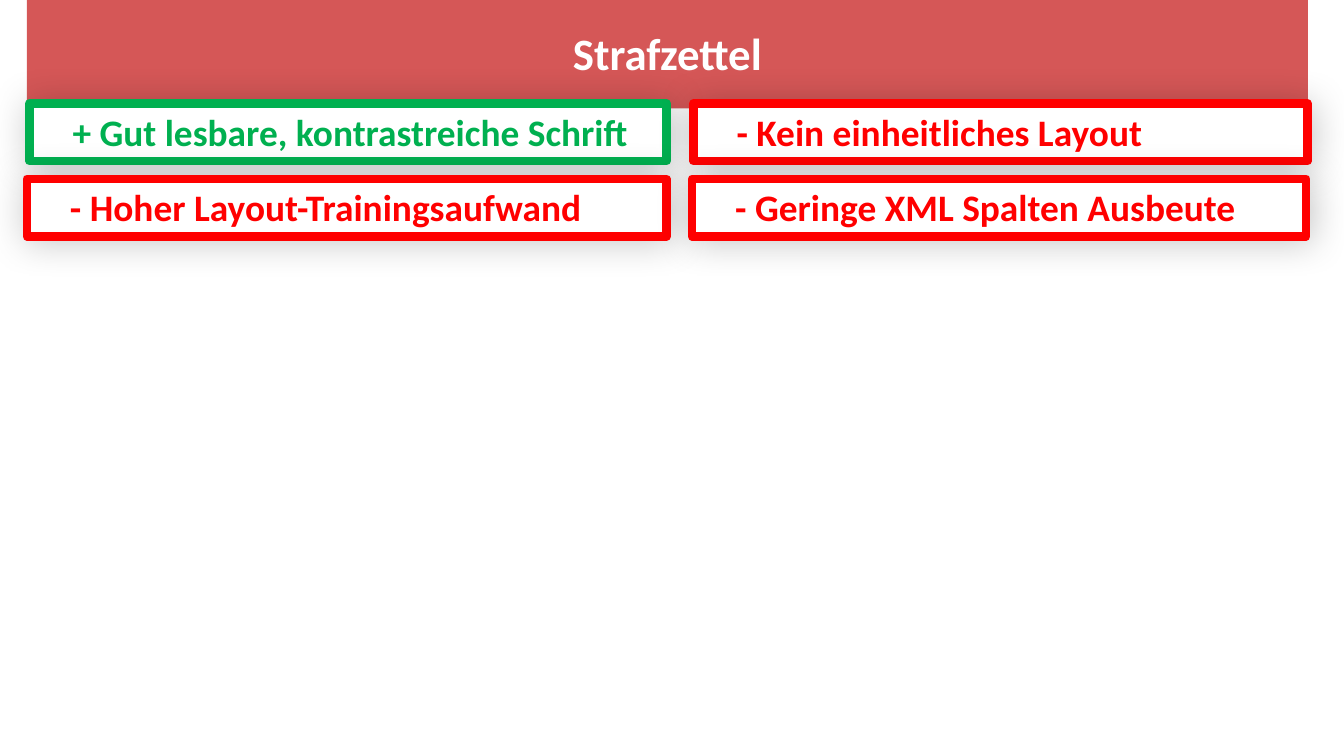
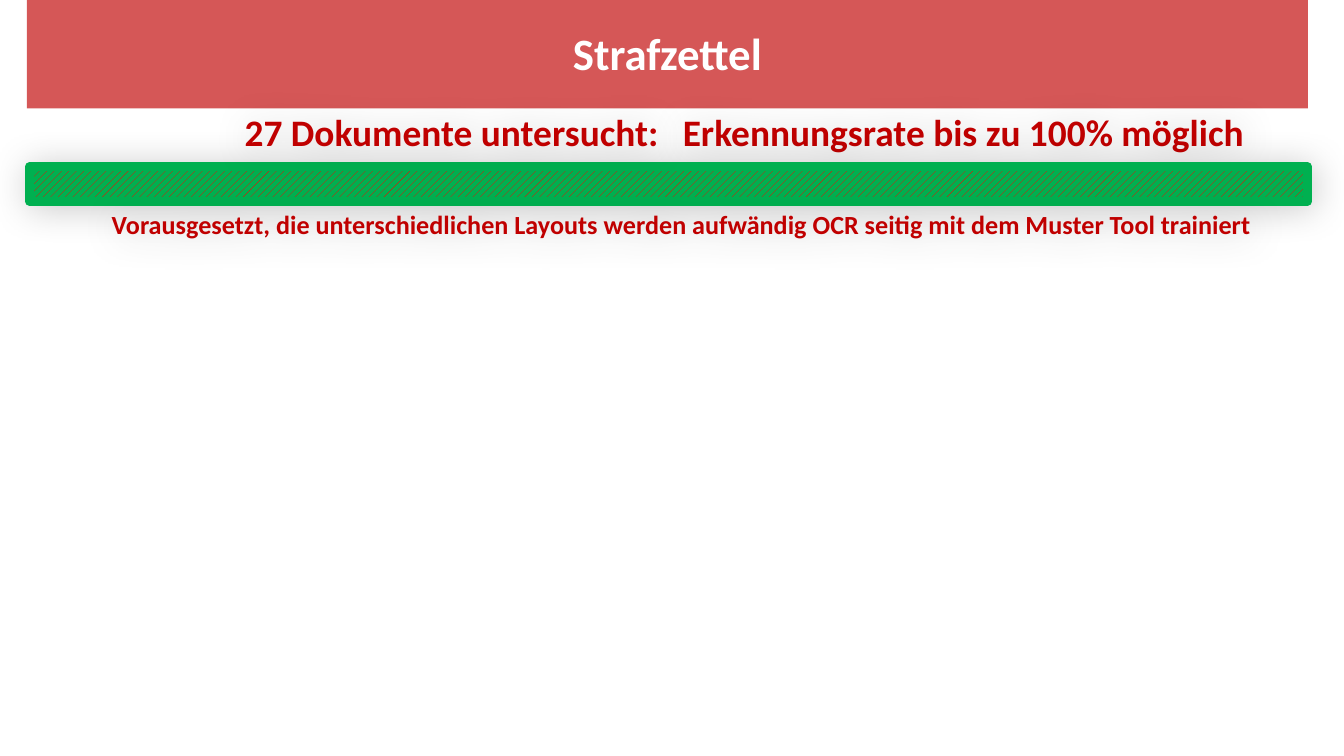
import dataclasses

import pptx
import pptx.dml.color
import pptx.enum.dml
import pptx.enum.shapes
import pptx.enum.text
import pptx.oxml
import pptx.oxml.ns
import pptx.util

Pt = pptx.util.Pt
ALIGN = pptx.enum.text.PP_ALIGN


@dataclasses.dataclass(frozen=True)
class Theme:
    """Colours and type of the deck."""
    font: str = "Calibri"
    white: str = "FFFFFF"
    heading: str = "C00000"
    good: str = "00B050"
    bad: str = "FF0000"
    title_size: float = 24
    point_size: float = 20
    note_size: float = 14
    border: float = 4.5


THEME = Theme()
TITLE = "Strafzettel"
ROW_TOPS = (55.4, 95.8)
ROW_HEIGHT = 31
# Each point: text, colour, row, left, width
POINTS = (
    ("+ Gut lesbare, kontrastreiche Schrift", THEME.good, 0, 15.8, 341.3),
    ("- Kein einheitliches Layout", THEME.bad, 0, 371.5, 329),
    ("- Hoher Layout-Trainingsaufwand", THEME.bad, 1, 14.4, 342.7),
    ("- Geringe XML Spalten Ausbeute", THEME.bad, 1, 370.8, 329),
)


def rgb(code):
    """Turn a hex code into a colour value."""
    return pptx.dml.color.RGBColor.from_string(code)


def assign(target, values):
    """Set every attribute named in a dict of format values."""
    for name, value in values.items():
        setattr(target, name, value)


def place(shape, left, top, width, height):
    """Position a shape, in points."""
    assign(shape, {"left": Pt(left), "top": Pt(top),
                   "width": Pt(width), "height": Pt(height)})


def write(shape, text, size, color, align):
    """Put one bold line of text in a shape."""
    frame = shape.text_frame
    frame.text = text
    assign(frame, {"word_wrap": True,
                   "auto_size": pptx.enum.text.MSO_AUTO_SIZE.SHAPE_TO_FIT_TEXT})
    paragraph = frame.paragraphs[0]
    paragraph.alignment = align
    font = paragraph.runs[0].font
    assign(font, {"name": THEME.font, "size": Pt(size), "bold": True})
    font.color.rgb = rgb(color)


def write_point(shape, text, size, color, align=ALIGN.LEFT):
    """Write a line with the indent and spacing of the points."""
    write(shape, text, size, color, align)
    assign(shape.text_frame, {
        "margin_left": Pt(5.8), "margin_top": Pt(2.9),
        "margin_right": Pt(7.2), "margin_bottom": Pt(3.6),
        "vertical_anchor": pptx.enum.text.MSO_ANCHOR.TOP})
    paragraph = shape.text_frame.paragraphs[0]
    assign(paragraph, {"space_before": Pt(6), "space_after": Pt(6)})
    properties = paragraph._p.get_or_add_pPr()
    properties.set("marL", str(Pt(17.3)))
    properties.set("indent", "0")


def add_shadow(shape):
    """Give a shape the deck's soft shadow."""
    shape.shadow.inherit = False
    effects = shape._element.spPr.find(pptx.oxml.ns.qn("a:effectLst"))
    effects.append(pptx.oxml.parse_xml(
        f'<a:outerShdw {pptx.oxml.ns.nsdecls("a")} blurRad="{Pt(20)}" '
        f'dist="{Pt(1)}" dir="2700000" algn="tl" rotWithShape="0">'
        '<a:srgbClr val="000000"><a:alpha val="21000"/></a:srgbClr>'
        '</a:outerShdw>'))


def add_frame(slide, box, color):
    """Add a white rectangle with a thick round-cornered border."""
    frame = slide.shapes.add_shape(
        pptx.enum.shapes.MSO_SHAPE.RECTANGLE, *map(Pt, box))
    frame.fill.solid()
    frame.fill.fore_color.rgb = rgb(THEME.white)
    frame.line.color.rgb = rgb(color)
    frame.line.width = Pt(THEME.border)
    frame.line._get_or_add_ln().append(pptx.oxml.parse_xml(
        f'<a:round {pptx.oxml.ns.nsdecls("a")}/>'))
    add_shadow(frame)
    return frame


def add_statement(slide, box, text, size, align=ALIGN.LEFT):
    """Add a free line of text with a shadow."""
    statement = slide.shapes.add_textbox(*map(Pt, box))
    write_point(statement, text, size, THEME.heading, align)
    add_shadow(statement)


def add_titled_slide(deck):
    """Add a slide with the shared title band."""
    slide = deck.slides.add_slide(deck.slide_layouts[5])
    title = slide.shapes.title
    place(title, 14.4, 10, 686.2, 36)
    title.fill.solid()
    title.fill.fore_color.rgb = rgb(THEME.heading)
    color = title._element.spPr.find(".//" + pptx.oxml.ns.qn("a:srgbClr"))
    color.append(pptx.oxml.parse_xml(
        f'<a:alpha {pptx.oxml.ns.nsdecls("a")} val="66000"/>'))
    write(title, TITLE, THEME.title_size, THEME.white, ALIGN.CENTER)
    title.text_frame.vertical_anchor = pptx.enum.text.MSO_ANCHOR.MIDDLE
    return slide


def build_assessment(deck):
    """Slide with the strong and weak points."""
    slide = add_titled_slide(deck)
    for text, color, row, left, width in POINTS:
        frame = add_frame(slide, (left, ROW_TOPS[row], width, ROW_HEIGHT), color)
        write_point(frame, text, THEME.point_size, color)


def build_recognition(deck):
    """Slide with the recognition rate bar."""
    slide = add_titled_slide(deck)
    top = ROW_TOPS[0]
    add_statement(slide, (342.7, top, 357.8, ROW_HEIGHT),
                  "Erkennungsrate bis zu 100% möglich", THEME.point_size)
    rate_bar = add_frame(slide, (15.8, 89.3, 684.7, 18.7), THEME.good)
    rate_bar.fill.patterned()
    rate_bar.fill.pattern = pptx.enum.dml.MSO_PATTERN.WIDE_UPWARD_DIAGONAL
    rate_bar.fill.fore_color.rgb = rgb(THEME.bad)
    rate_bar.fill.back_color.rgb = rgb(THEME.good)
    add_statement(slide, (14.4, top, 345.6, ROW_HEIGHT),
                  "27 Dokumente untersucht:", THEME.point_size, ALIGN.RIGHT)
    add_statement(slide, (36.7, 108.7, 646.6, 23.8),
                  "Vorausgesetzt, die unterschiedlichen Layouts werden aufwändig "
                  "OCR seitig mit dem Muster Tool trainiert", THEME.note_size)


def main():
    """Build and save the deck."""
    deck = pptx.Presentation()
    assign(deck, {"slide_width": Pt(720), "slide_height": Pt(405)})
    background = deck.slide_master.background.fill
    background.solid()
    background.fore_color.rgb = rgb(THEME.white)
    build_assessment(deck)
    build_recognition(deck)
    deck.save("out.pptx")


main()
